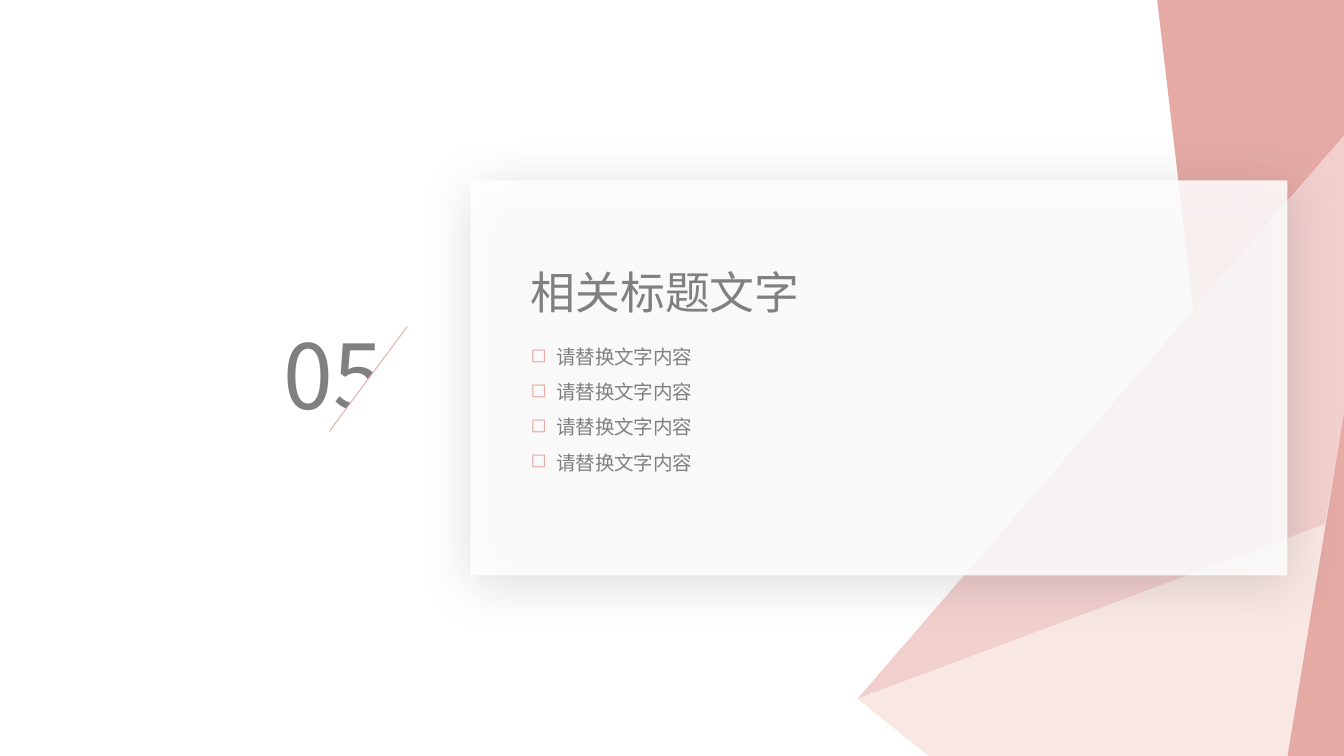
from dataclasses import dataclass

import pptx
import pptx.dml.color
import pptx.enum.shapes
import pptx.oxml
import pptx.oxml.ns
import pptx.util

RGBColor = pptx.dml.color.RGBColor
Shapes = pptx.enum.shapes.MSO_SHAPE
WHITE = RGBColor(0xFF, 0xFF, 0xFF)
GRAY = RGBColor(0x80, 0x80, 0x80)
ROSE = RGBColor(0xE5, 0xAA, 0xA4)
BLUSH = RGBColor(0xF1, 0xCF, 0xCD)
CREAM = RGBColor(0xF9, 0xE7, 0xE3)
FONT = "Noto Sans CJK SC"
WIDTH = pptx.util.Inches(10)
HEIGHT = pptx.util.Inches(5.625)
NAMESPACE = pptx.oxml.ns.nsdecls("a")

Point = tuple[float, float]


@dataclass(frozen=True)
class Area:
    left: float
    top: float
    width: float
    height: float

    def frame(self) -> tuple[int, int, int, int]:
        return (*place((self.left, self.top)), *place((self.width, self.height)))


@dataclass(frozen=True)
class Facet:
    corners: tuple[Point, ...]
    color: RGBColor


@dataclass(frozen=True)
class Label:
    area: Area
    lines: tuple[str, ...]
    size: float
    wrap: bool = True
    bulleted: bool = False


PEAK = (63.8, 92.44)
FOLD = (98.6, 69.33)
BASE = (95.8, 100)
UPPER_EDGE = (100, 17.96)
LOWER_EDGE = (100, 54.58)

FACETS = (
    Facet(((88.8, 40.9), (86.1, 0), (100, 0), UPPER_EDGE), ROSE),
    Facet((PEAK, FOLD, LOWER_EDGE, UPPER_EDGE), BLUSH),
    Facet((PEAK, (69.1, 100), BASE, FOLD), CREAM),
    Facet((BASE, (100, 100), LOWER_EDGE), ROSE),
)
CARD = Area(35, 23.85, 60.8, 52.27)
CUT = Area(23.5, 44.98, 7.8, 10.31)
SLASH = ((30.3, 43.2), (24.5, 57.07))
LABELS = (
    Label(Area(20.1, 41.42, 9.8, 16.18), ("05",), 48),
    Label(Area(38.5, 34.13, 22.2, 8.89), ("相关标题文字",), 24, wrap=False),
)
TOPICS = Label(Area(38.5, 43.2, 25, 20.09), ("请替换文字内容",) * 4, 10.5, bulleted=True)


def place(point: Point) -> tuple[int, int]:
    return round(WIDTH * point[0] / 100), round(HEIGHT * point[1] / 100)


def element(xml: str):
    return pptx.oxml.parse_xml(xml)


def paint(shape, color: RGBColor) -> None:
    shape.shadow.inherit = False
    shape.fill.solid()
    shape.fill.fore_color.rgb = color
    shape.line.fill.background()


def draw_facet(page, facet: Facet) -> None:
    first, *others = map(place, facet.corners)
    builder = page.shapes.build_freeform(*first, scale=1.0)
    builder.add_line_segments(others, close=True)
    paint(builder.convert_to_shape(), facet.color)


def draw_card(page, area: Area) -> None:
    card = page.shapes.add_shape(Shapes.RECTANGLE, *area.frame())
    paint(card, WHITE)
    properties = card._element.spPr
    color = properties.find(".//" + pptx.oxml.ns.qn("a:srgbClr"))
    color.append(element(f'<a:alpha {NAMESPACE} val="85000"/>'))
    effects = properties.find(pptx.oxml.ns.qn("a:effectLst"))
    effects.append(element(
        f'<a:outerShdw {NAMESPACE} blurRad="{pptx.util.Pt(29)}" dist="{pptx.util.Pt(5)}" '
        f'dir="{77 * 60000}" algn="ctr" rotWithShape="0">'
        '<a:srgbClr val="333333"><a:alpha val="20000"/></a:srgbClr></a:outerShdw>'
    ))


def draw_cut(page, area: Area) -> None:
    cut = page.shapes.add_shape(Shapes.RIGHT_TRIANGLE, *area.frame())
    cut.rotation = 270
    paint(cut, WHITE)


def draw_slash(page, ends: tuple[Point, Point]) -> None:
    start, end = map(place, ends)
    slash = page.shapes.add_connector(
        pptx.enum.shapes.MSO_CONNECTOR.STRAIGHT, *start, *end
    )
    slash.line.color.rgb = ROSE
    slash.line.width = pptx.util.Pt(0.5)
    slash._element.spPr.append(element(f"<a:effectLst {NAMESPACE}/>"))


def add_bullet(para) -> None:
    para.line_spacing = 1.5
    properties = para._p.get_or_add_pPr()
    indent = pptx.util.Inches(0.19)
    properties.set("marL", str(indent))
    properties.set("indent", str(-indent))
    properties.append(element(
        f'<a:buClr {NAMESPACE}><a:srgbClr val="{ROSE}"/></a:buClr>'
    ))
    properties.append(element(f'<a:buChar {NAMESPACE} char="◻"/>'))


def draw_label(page, label: Label) -> None:
    box = page.shapes.add_textbox(*label.area.frame())
    box.text_frame.text = "\n".join(label.lines)
    box.text_frame.word_wrap = label.wrap
    for para in box.text_frame.paragraphs:
        if label.bulleted:
            add_bullet(para)
        for span in para.runs:
            span.font.size = pptx.util.Pt(label.size)
            span.font.name = FONT
            span.font.color.rgb = GRAY
            span._r.get_or_add_rPr().append(
                element(f'<a:ea {NAMESPACE} typeface="{FONT}"/>')
            )


def main() -> None:
    deck = pptx.Presentation()
    deck.slide_width, deck.slide_height = WIDTH, HEIGHT
    page = deck.slides.add_slide(deck.slide_layouts[6])
    for facet in FACETS:
        draw_facet(page, facet)
    draw_card(page, CARD)
    for label in LABELS:
        draw_label(page, label)
    draw_cut(page, CUT)
    draw_slash(page, SLASH)
    draw_label(page, TOPICS)
    deck.save("out.pptx")


if __name__ == "__main__":
    main()
